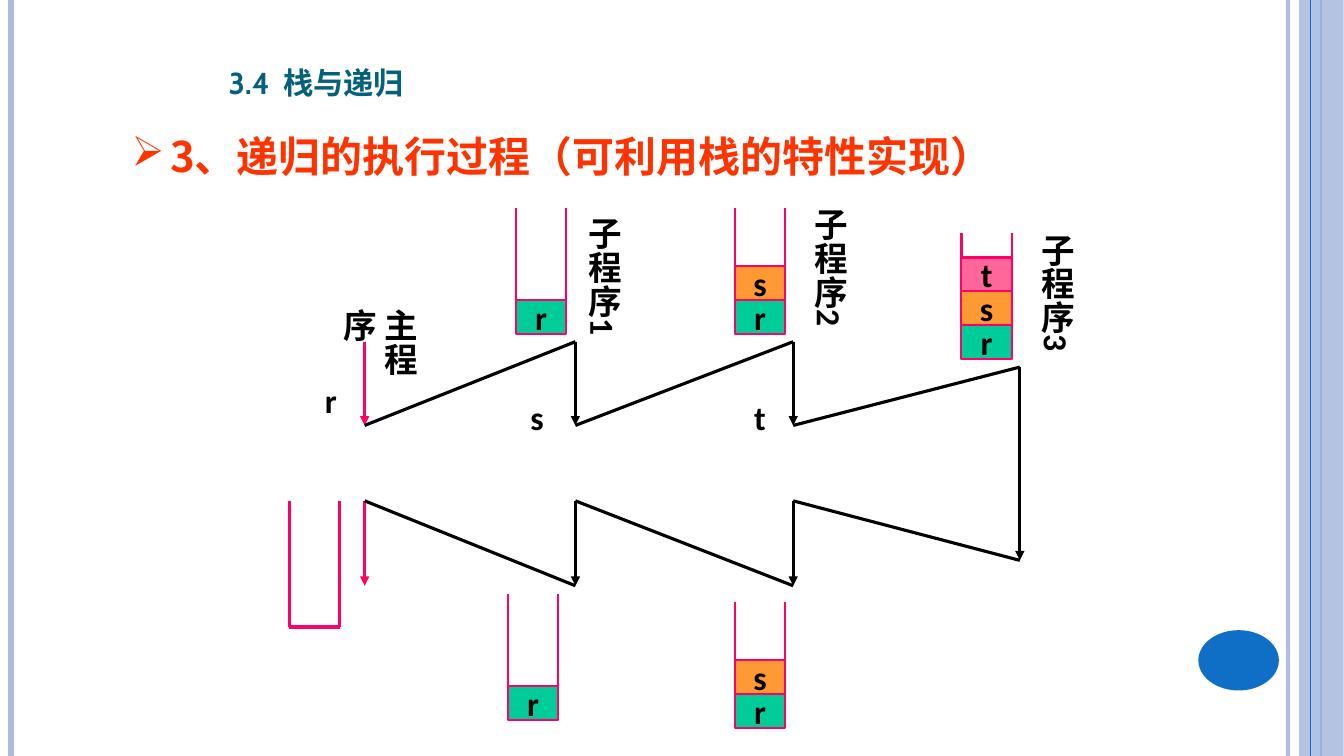
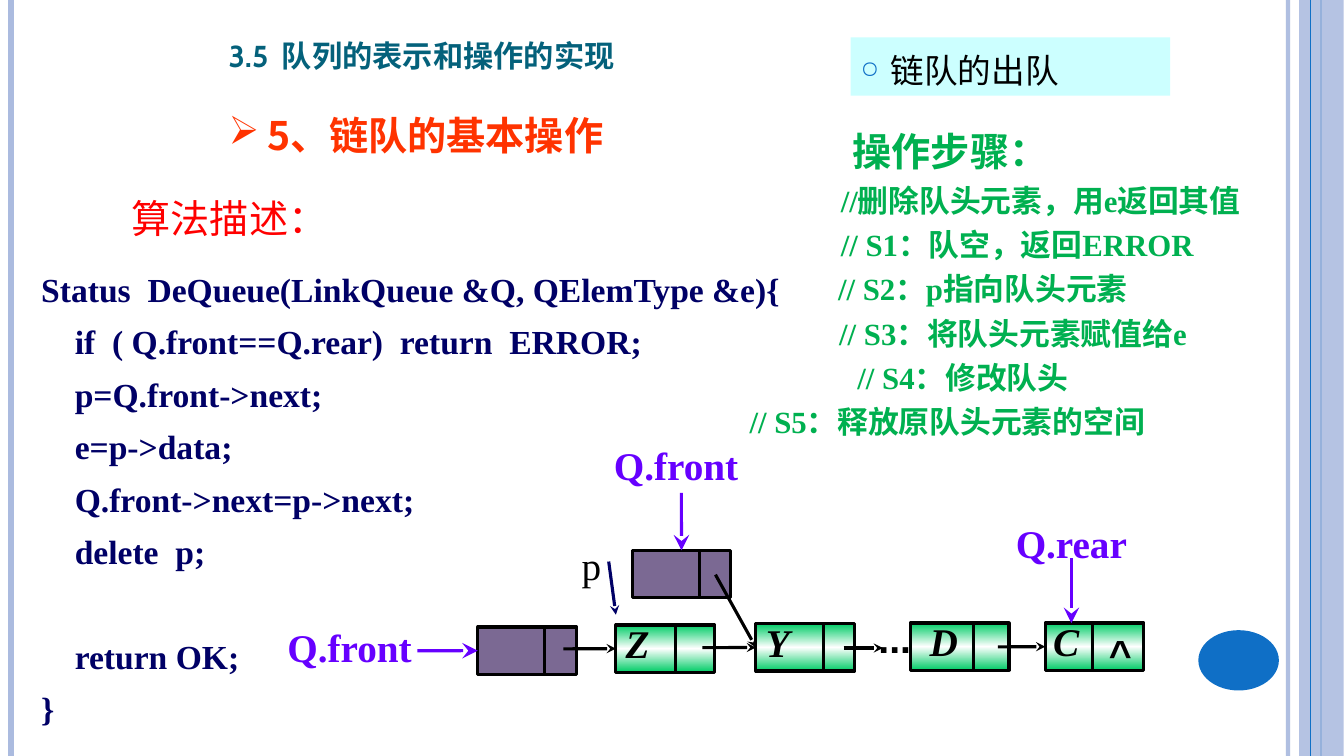
"""Two lecture slides: recursion with stacks, and removal from a linked queue."""
from copy import deepcopy
from lxml.etree import SubElement
from pptx import Presentation
from pptx.dml.color import RGBColor
from pptx.enum.shapes import MSO_CONNECTOR, MSO_SHAPE
from pptx.enum.text import MSO_ANCHOR, MSO_AUTO_SIZE, PP_ALIGN
from pptx.oxml.ns import qn
from pptx.util import Cm, Pt

BLACK = RGBColor(0x00, 0x00, 0x00)
WHITE = RGBColor(0xFF, 0xFF, 0xFF)
PALE = RGBColor(0xAB, 0xBB, 0xDF)
BLUE = RGBColor(0x0F, 0x6F, 0xC6)
TEAL = RGBColor(0x04, 0x61, 0x7B)
FLAME = RGBColor(0xFF, 0x33, 0x00)
RED = RGBColor(0xFF, 0x00, 0x00)
PINK = RGBColor(0xFF, 0x00, 0x66)
ROSE = RGBColor(0xFF, 0x66, 0x99)
AMBER = RGBColor(0xFF, 0x99, 0x33)
JADE = RGBColor(0x00, 0xCC, 0x99)
GREEN = RGBColor(0x00, 0xCC, 0x66)
LEAF = RGBColor(0x00, 0xB0, 0x50)
NAVY = RGBColor(0x00, 0x00, 0x66)
VIOLET = RGBColor(0x66, 0x00, 0xFF)
PLUM = RGBColor(0x7B, 0x69, 0x93)
ICE = RGBColor(0xCC, 0xFF, 0xFF)

HAN, ROMAN = "Noto Sans CJK SC", "Times New Roman"
TITLE = dict(name="Cabin", size=Pt(27), bold=True, color=TEAL)
HEAD = dict(name=HAN, size=Pt(30), bold=True, color=FLAME)
LABEL = dict(name="Calibri", size=Pt(24), bold=True, color=BLACK)
CODE = dict(name=ROMAN, size=Pt(24), bold=True, color=NAVY)
STEP = dict(name=ROMAN, size=Pt(22), bold=True, color=LEAF)
NAME = dict(name=ROMAN, size=Pt(28), bold=True, color=VIOLET)
DATA = dict(NAME, color=BLACK, italic=True)
PLAIN = dict(name=ROMAN, size=Pt(28), color=BLACK)
SIGN = dict(name="Arial", size=Pt(28), bold=True, color=BLACK)
TOPIC = dict(name="Cabin", size=Pt(24), color=BLACK)
CENTER = PP_ALIGN.CENTER

RULES = [(32.46, PALE, 3, 93), (0.28, PALE, 4.5, None),
         (33.3, BLUE, 1.5, None), (33.02, BLUE, 0.75, None)]

COLS = [9.19, 14.5, 19.99, 25.7]
CALL, BACK = 10.72, 12.62
TOPS = [8.61, 8.61, 8.61, 9.25]
ENDS = [14.76, 14.76, 14.76, 14.12]
CELL_W, CELL_H, TALL = 1.27, 0.85, 3.18
FILLS = {"r": JADE, "s": AMBER, "t": ROSE}
STACKS = [(13, 8.41, "r"), (18.52, 8.41, "rs"), (24.23, 9.04, "rst"),
          (12.8, 18.14, "r"), (18.52, 18.34, "rs"), (7.29, 15.8, "")]
RETURNS = [("r", 7.92, 9.45, 0.84), ("s", 12.8, 9.88, 1.47), ("t", 18.52, 9.88, 1.27)]
ROUTINES = [("主程序", 9.19, 7.54, 2.97, None), ("子程序1", 14.33, 5.23, 3.81, CENTER),
            ("子程序2", 20.04, 5, 3.81, CENTER), ("子程序3", 25.76, 5.64, 3.81, CENTER)]

LINES = ["Status  DeQueue(LinkQueue &Q, QElemType &e){",
         "    if  ( Q.front==Q.rear)  return  ERROR;",
         "    p=Q.front->next;", "    e=p->data;",
         "    Q.front->next=p->next;", "    delete  p;", "    return OK;", "}"]
STEPS = [("操作步骤：", 5.9), ("//删除队头元素，用e返回其值", 5.6),
         ("// S1：队空，返回ERROR", 5.6), ("// S2：p指向队头元素", 5.53),
         ("// S3：将队头元素赋值给e", 5.56), ("// S4：修改队头", 6.02),
         ("// S5：释放原队头元素的空间", 3.3)]
NODE_W, NODE_H = 2.49, 1.19
NODES = {"old": (12.04, 15.8, 1.68, "", 0), "new": (15.93, 13.87, 1.7, "", 0),
         "Z": (15.52, 15.75, 1.5, "Z", 0.25), "Y": (19.05, 15.72, 1.7, "Y", 0.25),
         "D": (22.94, 15.7, 1.6, "D", 0.49), "C": (26.34, 15.7, 1.19, "C", 0.2)}
LINKS = [(10.52, 16.4, "old", 1, VIOLET), (17.17, 12.42, "new", 0, VIOLET),
         (14.2, 16.35, "Z", 1, BLACK), (17.7, 16.32, "Y", 1, BLACK),
         (18.03, 14.48, "Y", 1, BLACK), (25.15, 16.3, "C", 1, BLACK)]
LOOSE = [(21.26, 16.33, 22.25, 16.33, BLACK), (15.34, 14.15, 15.52, 15.49, NAVY),
         (27, 14.07, 27, 15.7, VIOLET)]
TAGS = [("Q.front", 7.11, 15.7, 3.4, NAME), ("Q.front", 15.34, 11.13, 3.4, NAME),
        ("Q.rear", 25.3, 13.08, 3.4, NAME), ("p", 14.27, 13.64, 1.27, PLAIN)]
SIGNS = [("...", 21.89, 15.34, 1.32), ("^", 27.69, 15.72, 1.09)]


def fade(item, tag, alpha):
    color = item.element.spPr.find(".//" + qn(tag) + "//" + qn("a:srgbClr"))
    SubElement(color, qn("a:alpha")).set("val", str(alpha * 1000))


def line(slide, x1, y1, x2, y2, color, width=2.25, head=None, size="med"):
    item = slide.shapes.add_connector(
        MSO_CONNECTOR.STRAIGHT, Cm(x1), Cm(y1), Cm(x2), Cm(y2))
    item.line.color.rgb = color
    item.line.width = Pt(width)
    if head:
        tail = SubElement(item.element.spPr.find(qn("a:ln")), qn("a:tailEnd"))
        for key, val in dict(type=head, w=size, len=size).items():
            tail.set(key, val)
    SubElement(item.element.spPr, qn("a:effectLst"))
    return item


def shape(slide, kind, x, y, w, h, fill=None, edge=None, width=1.5):
    item = slide.shapes.add_shape(kind, Cm(x), Cm(y), Cm(w), Cm(h))
    item.shadow.inherit = False
    if fill is not None:
        item.fill.solid()
        item.fill.fore_color.rgb = fill
    if edge is None:
        item.line.fill.background()
    else:
        item.line.color.rgb = edge
        item.line.width = Pt(width)
    return item


def write(item, lines, style, align=None, space=None, wrap=True, grow=False,
          anchor=MSO_ANCHOR.TOP, pads=None):
    frame = item.text_frame
    frame.word_wrap = wrap
    frame.auto_size = MSO_AUTO_SIZE.SHAPE_TO_FIT_TEXT if grow else MSO_AUTO_SIZE.NONE
    frame.vertical_anchor = anchor
    for side, pad in zip(("left", "top", "right", "bottom"), pads or ()):
        setattr(frame, "margin_" + side, Cm(pad))
    for row, text in enumerate(lines):
        para = frame.add_paragraph() if row else frame.paragraphs[0]
        para.alignment = align or PP_ALIGN.LEFT
        if space:
            para.line_spacing = space
        run = para.add_run()
        run.text = text
        for key, val in style.items():
            if key == "color":
                run.font.color.rgb = val
            else:
                setattr(run.font, key, val)
        SubElement(run.font._element, qn("a:ea")).set("typeface", HAN)
    return frame.paragraphs


def label(slide, x, y, w, h, lines, style, **opts):
    item = slide.shapes.add_textbox(Cm(x), Cm(y), Cm(w), Cm(h))
    return item, write(item, lines, style, **opts)


def bullet(para, char, color, indent, size=100):
    props = para._p.get_or_add_pPr()
    props.set("marL", str(Cm(indent)))
    props.set("indent", str(-Cm(indent)))
    hue = SubElement(SubElement(props, qn("a:buClr")), qn("a:srgbClr"))
    hue.set("val", str(color))
    SubElement(props, qn("a:buSzPct")).set("val", str(size * 1000))
    SubElement(props, qn("a:buChar")).set("char", char)


def frame(slide, layout):
    parts = []
    for x, color, width, alpha in RULES:
        parts.append(line(slide, x, 0, x, 19.05, color, width))
        if alpha:
            fade(parts[-1], "a:ln", alpha)
    band = shape(slide, MSO_SHAPE.RECTANGLE, 32.74, 0, 1.12, 19.05, PALE)
    fade(band, "a:solidFill", 87)
    parts.insert(3, band)
    parts.append(shape(slide, MSO_SHAPE.OVAL, 30.2, 15.88, 2.03, 1.52, BLUE))
    for num, part in enumerate(parts, 20):
        part.element.find(".//" + qn("p:cNvPr")).set("id", str(num))
        layout.shapes.element.append(part.element)


def head(slide, title, y, text, x, top, w, size):
    item = slide.shapes.title
    item.left, item.top, item.width, item.height = Cm(5.51), Cm(y), Cm(20.75), Cm(1.55)
    para = write(item, [title], TITLE, anchor=MSO_ANCHOR.BOTTOM)[0]
    para.runs[0].font._element.set("cap", "small")
    _, paras = label(slide, x, top, w, 1.85, [text], dict(HEAD, size=Pt(size)), space=1.2)
    bullet(paras[0], "➢", FLAME, 0.97)


def stack(slide, x, base, cells):
    width = 1.5 if cells else 2.25
    for wall in (x, x + CELL_W):
        line(slide, wall, base, wall, base - TALL, PINK, width)
    if not cells:
        line(slide, x, base, x + CELL_W, base, PINK, width)
    for row, cell in enumerate(cells, 1):
        item = shape(slide, MSO_SHAPE.RECTANGLE, x, base - row * CELL_H,
                     CELL_W, CELL_H, FILLS[cell], PINK)
        write(item, [cell], LABEL, CENTER, wrap=False, anchor=MSO_ANCHOR.MIDDLE)


def recurse(slide):
    head(slide, "3.4  栈与递归", 1.14, "3、递归的执行过程（可利用栈的特性实现）", 3.07, 2.92, 27.84, 30)
    for col, (x, top, end) in enumerate(zip(COLS, TOPS, ENDS)):
        color = BLACK if col else PINK
        if col:
            line(slide, COLS[col - 1], CALL, x, top, BLACK)
            line(slide, x, end, COLS[col - 1], BACK, BLACK)
        spans = [(top, end)] if x == COLS[-1] else [(top, CALL), (BACK, end)]
        for start, stop in spans:
            line(slide, x, start, x, stop, color, head="triangle")
    for spot in STACKS:
        stack(slide, *spot)
    for text, x, y, w in RETURNS:
        label(slide, x, y, w, 1.27, [text], LABEL, align=CENTER, grow=True)
    for text, x, y, h, align in ROUTINES:
        item, _ = label(slide, x, y, 1.52, h, [text], LABEL, align=align, grow=True)
        item.text_frame._txBody.bodyPr.set("vert", "eaVert")


def node(slide, x, y, split, text, pad):
    item = shape(slide, MSO_SHAPE.RECTANGLE, x, y, NODE_W, NODE_H, PLUM, BLACK, 2.25)
    if text:
        item.fill.gradient()
        item.fill.gradient_angle = 90
        stops = item.element.find(".//" + qn("a:gsLst"))
        stops.append(deepcopy(stops[0]))
        for stop, spot, color in zip(item.fill.gradient_stops, (0, 0.5, 1),
                                     (GREEN, WHITE, GREEN)):
            stop.position = spot
            stop.color.rgb = color
        write(item, [text], DATA, space=0.9, pads=(pad, 0, 0, 0.2))
    line(slide, x + split, y, x + split, y + NODE_H, BLACK)
    return item


def queue(slide):
    head(slide, "3.5  队列的表示和操作的实现", 0.46, "5、链队的基本操作", 5.51, 2.44, 13.56, 28)
    _, paras = label(slide, 15.34, 2.84, 17.27, 8.46, [text for text, _ in STEPS], STEP,
                     space=1.2, grow=True)
    for para, (_, indent) in zip(paras, STEPS):
        para._p.get_or_add_pPr().set("marL", str(Cm(indent)))
    paras[0].runs[0].font.size = Pt(28)
    _, paras = label(slide, 0.79, 6.35, 19.28, 12.24, LINES, CODE, space=1.3, grow=True)
    paras[-2].space_before = Pt(37.4)
    label(slide, 2.79, 4.78, 5.99, 1.45, ["算法描述："], dict(PLAIN, color=RED),
          align=CENTER, grow=True)
    topic = shape(slide, MSO_SHAPE.RECTANGLE, 21.44, 0.94, 8.05, 1.47, ICE)
    paras = write(topic, ["链队的出队"], TOPIC, anchor=MSO_ANCHOR.BOTTOM)
    bullet(paras[0], "○", BLUE, 0.76, 70)

    nodes = {key: node(slide, *spot) for key, spot in NODES.items()}
    for x, y, key, side, color in LINKS:
        size = "lg" if color == VIOLET else "med"
        link = line(slide, x, y, x, y, color, head="stealth", size=size)
        link.end_connect(nodes[key], side)
    for *ends, color in LOOSE:
        size = "lg" if color == VIOLET else "med"
        line(slide, *ends, color, head="stealth", size=size)
    for text, x, y, w, style in TAGS:
        label(slide, x, y, w, 1.3, [text], style, align=CENTER, pads=(0, 0, 0, 0.1))
    for text, x, y, w in SIGNS:
        label(slide, x, y, w, 1.45, [text], SIGN, align=CENTER, wrap=False,
              pads=(0, 0.13, 0, 0.13))


def main():
    deck = Presentation()
    deck.slide_width, deck.slide_height = Cm(33.87), Cm(19.05)
    layout = deck.slide_layouts[5]
    slides = [deck.slides.add_slide(layout) for _ in range(2)]
    frame(slides[0], layout)
    for build, slide in zip((recurse, queue), slides):
        build(slide)
    deck.save("out.pptx")


if __name__ == "__main__":
    main()
